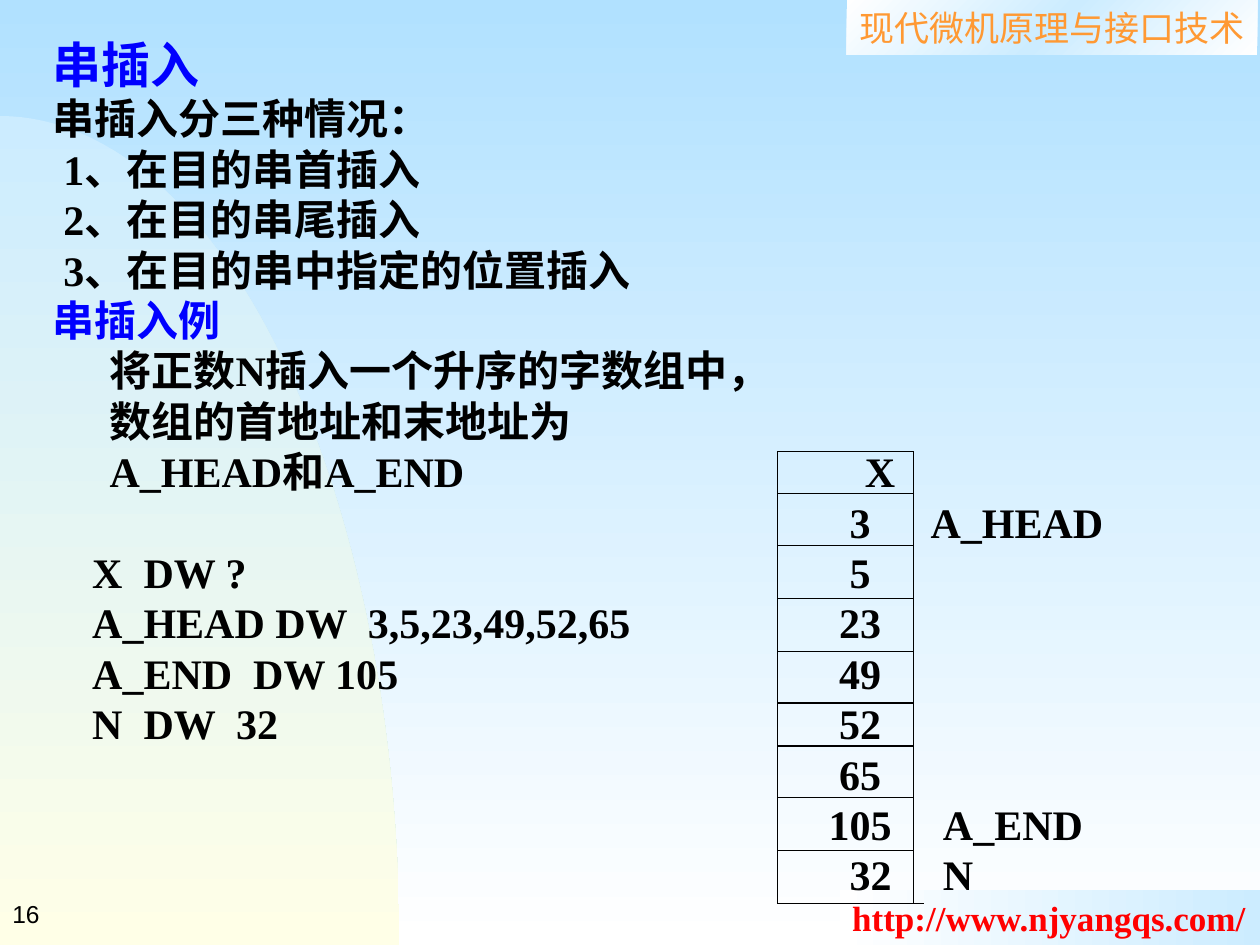
from copy import deepcopy
from math import cos, pi, sin

from lxml import etree
from pptx import Presentation
from pptx.dml.color import RGBColor
from pptx.enum.shapes import MSO_CONNECTOR, MSO_SHAPE
from pptx.enum.text import MSO_ANCHOR, PP_ALIGN
from pptx.oxml.ns import qn
from pptx.util import Cm, Pt

STRAIGHT = MSO_CONNECTOR.STRAIGHT
RECTANGLE = MSO_SHAPE.RECTANGLE
LEFT = PP_ALIGN.LEFT
TOP, MIDDLE = MSO_ANCHOR.TOP, MSO_ANCHOR.MIDDLE

BLACK = RGBColor(0x00, 0x00, 0x00)
WHITE = RGBColor(0xFF, 0xFF, 0xFF)
BLUE = RGBColor(0x00, 0x00, 0xFF)
RED = RGBColor(0xFF, 0x00, 0x00)
ORANGE = RGBColor(0xFF, 0x99, 0x33)
SKY = RGBColor(0xB1, 0xE1, 0xFF)
PALE_BLUE = RGBColor(0xCC, 0xEC, 0xFF)
CREAM = RGBColor(0xFF, 0xFF, 0xE7)

SERIF, SANS = "Times New Roman", "Arial"
SLIDE_WIDTH, SLIDE_HEIGHT = 25.4, 19.05

ITEM, PROSE, CODE, VALUE = ("l", 0.22), ("l", 1.15), ("l", 0.8), ("ctr", 16.28)
LESSON_LINES = [
    ("串插入分三种情况：", BLACK, []),
    ("\t1、在目的串首插入", BLACK, [ITEM]),
    ("\t2、在目的串尾插入", BLACK, [ITEM]),
    ("\t3、在目的串中指定的位置插入", BLACK, [ITEM]),
    ("串插入例", BLUE, []),
    ("\t将正数N插入一个升序的字数组中，", BLACK, [PROSE]),
    ("\t数组的首地址和末地址为", BLACK, [PROSE]),
    ("\tA_HEAD和A_END\tX", BLACK, [PROSE, ("ctr", 16.68)]),
    ("\t3\tA_HEAD", BLACK, [VALUE, ("l", 17.7)]),
    ("\tX  DW ?\t5", BLACK, [CODE, VALUE]),
    ("\tA_HEAD DW  3,5,23,49,52,65\t23", BLACK, [CODE, VALUE]),
    ("\tA_END  DW 105\t49", BLACK, [CODE, VALUE]),
    ("\tN  DW  32\t52", BLACK, [CODE, VALUE]),
    ("\t65", BLACK, [VALUE]),
    ("\t105\tA_END", BLACK, [VALUE, ("l", 17.95)]),
    ("\t32\tN", BLACK, [("ctr", 16.49), ("l", 17.95)]),
]

MEMORY_LEFT, MEMORY_RIGHT, MEMORY_BASE_RIGHT = 15.67, 18.42, 18.62
MEMORY_RULES = [9.1, 9.95, 11, 12.07, 13.13, 14.17, 15.04, 16.08, 17.15, 18.21]


def fill_gradient(fill, owner, colours, angle):
    """Fill with evenly spaced colours; the angle runs counterclockwise."""
    fill.gradient()
    fill.gradient_angle = angle
    stop_list = next(owner.iter(qn("a:gsLst")))
    for _ in colours[2:]:
        stop_list.append(deepcopy(stop_list[-1]))
    for index, (stop, colour) in enumerate(zip(fill.gradient_stops, colours)):
        stop.color.rgb = colour
        stop.position = index / (len(colours) - 1)


def style(paragraph, size, colour, face=SERIF, bold=True):
    """Set the font of a left-aligned paragraph."""
    paragraph.alignment = LEFT
    paragraph.font.size = Pt(size)
    paragraph.font.name = face
    paragraph.font.bold = bold
    paragraph.font.color.rgb = colour


def add_tabs(paragraph, tabs):
    """Add tab stops, given as alignment and centimetres."""
    tab_list = etree.SubElement(paragraph._p.get_or_add_pPr(), qn("a:tabLst"))
    for alignment, position in tabs:
        etree.SubElement(tab_list, qn("a:tab"), pos=str(Cm(position)), algn=alignment)


def add_hill(slide):
    """Draw the quarter ellipse behind everything else."""
    width, height, steps = 8.05, 16.71, 60
    angles = [pi / 2 * step / steps for step in range(steps + 1)]
    curve = [(Cm(width * sin(a)), Cm(SLIDE_HEIGHT - height * cos(a))) for a in angles]
    builder = slide.shapes.build_freeform(*curve[0])
    builder.add_line_segments(curve[1:] + [(0, Cm(SLIDE_HEIGHT))])
    hill = builder.convert_to_shape()
    hill.shadow.inherit = False
    hill.line.fill.background()
    fill_gradient(hill.fill, hill.element, [PALE_BLUE, CREAM], 270)
    slide.shapes.element.insert(2, hill.element)


def add_banner(slide, text, left, top, width, colours, angle, text_colour, bold):
    """Add a gradient strip with one line of text."""
    banner = slide.shapes.add_shape(RECTANGLE, Cm(left), Cm(top), Cm(width), Cm(1.11))
    banner.shadow.inherit = False
    banner.line.fill.background()
    fill_gradient(banner.fill, banner.element, colours, angle)
    banner.text_frame.word_wrap = False
    banner.text_frame.vertical_anchor = TOP
    banner.text_frame.text = text
    style(banner.text_frame.paragraphs[0], 20, text_colour, bold=bold)


def add_title(slide, text):
    """Place and format the slide title."""
    title = slide.shapes.title
    title.left, title.top, title.width, title.height = Cm(0.81), Cm(0.56), Cm(21.77), Cm(1.45)
    title.text_frame.vertical_anchor = TOP
    title.text_frame.text = text
    paragraph = title.text_frame.paragraphs[0]
    paragraph.line_spacing = Pt(33.6)
    style(paragraph, 28, BLUE)


def add_lesson(slide):
    """Add the lesson text with the memory values on tab stops."""
    frame = slide.shapes.add_textbox(Cm(0.81), Cm(1.75), Cm(21.77), Cm(16.51)).text_frame
    frame.word_wrap = True
    for index, (text, colour, tabs) in enumerate(LESSON_LINES):
        paragraph = frame.add_paragraph() if index else frame.paragraphs[0]
        paragraph.add_run().text = text
        paragraph.line_spacing = Pt(28.8)
        if tabs:
            add_tabs(paragraph, tabs)
        style(paragraph, 24, colour)


def add_rule(slide, x1, y1, x2, y2):
    """Draw one thin black line."""
    rule = slide.shapes.add_connector(STRAIGHT, Cm(x1), Cm(y1), Cm(x2), Cm(y2))
    rule.line.color.rgb = BLACK
    rule.line.width = Pt(0.75)
    etree.SubElement(rule.element.spPr, qn("a:effectLst"))


def add_memory_grid(slide):
    """Rule the column of memory cells."""
    top, bottom = MEMORY_RULES[0], MEMORY_RULES[-1]
    for x in (MEMORY_LEFT, MEMORY_RIGHT):
        add_rule(slide, x, top, x, bottom)
    for y in MEMORY_RULES:
        right = MEMORY_BASE_RIGHT if y == bottom else MEMORY_RIGHT
        add_rule(slide, MEMORY_LEFT, y, right, y)


def add_page_number(slide, number):
    """Add the page number at the lower left."""
    frame = slide.shapes.add_textbox(0, Cm(17.78), Cm(5.29), Cm(1.27)).text_frame
    frame.word_wrap = True
    frame.vertical_anchor = MIDDLE
    frame.text = number
    style(frame.paragraphs[0], 14, BLACK, SANS, False)


def main():
    """Build the slide and save it."""
    deck = Presentation()
    deck.slide_width, deck.slide_height = Cm(SLIDE_WIDTH), Cm(SLIDE_HEIGHT)
    slide = deck.slides.add_slide(deck.slide_layouts[5])
    fill_gradient(slide.background.fill, slide.element, [SKY, WHITE], 270)
    add_hill(slide)
    add_banner(slide, "现代微机原理与接口技术", 17.07, 0, 8.28,
               [WHITE, PALE_BLUE, WHITE], 315, ORANGE, False)
    add_banner(slide, "http://www.njyangqs.com/", 16.93, 17.95, 8.48,
               [WHITE, PALE_BLUE], 0, RED, True)
    add_page_number(slide, "16")
    add_title(slide, "串插入")
    add_lesson(slide)
    add_memory_grid(slide)
    deck.save("out.pptx")


if __name__ == "__main__":
    main()
